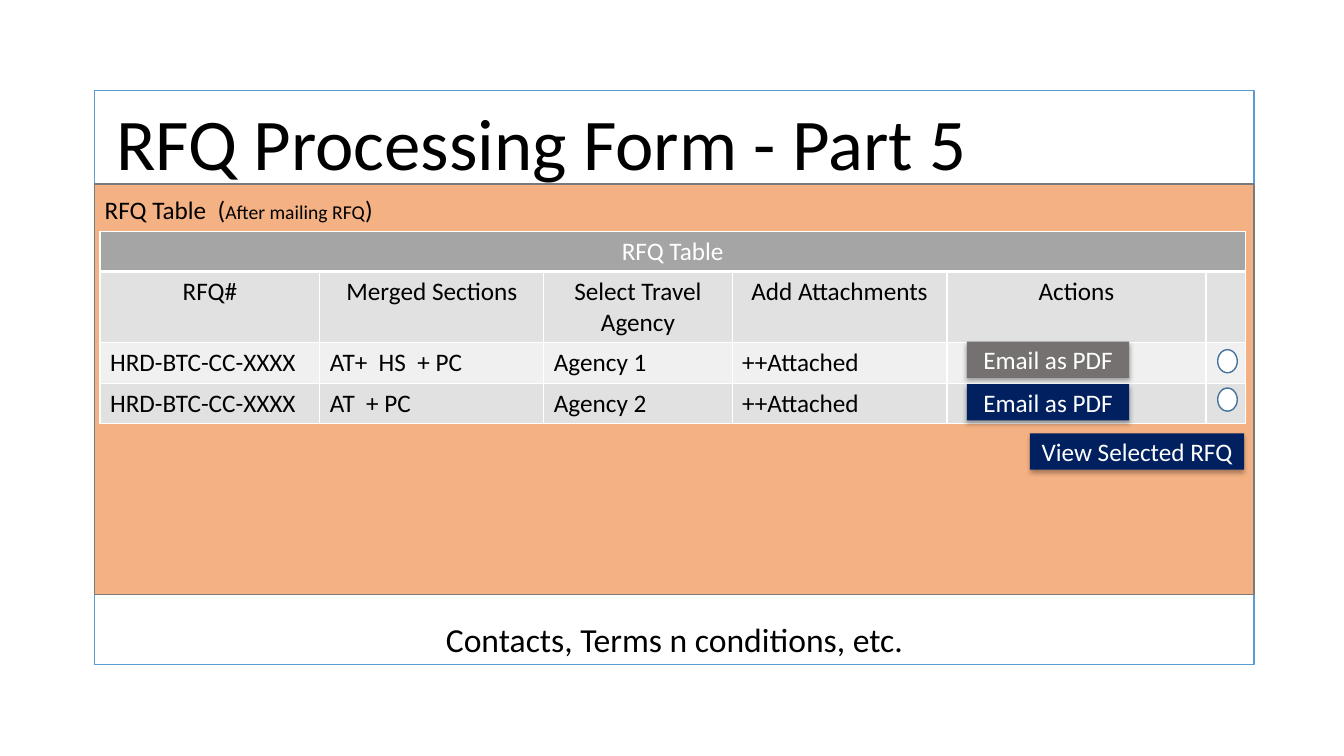
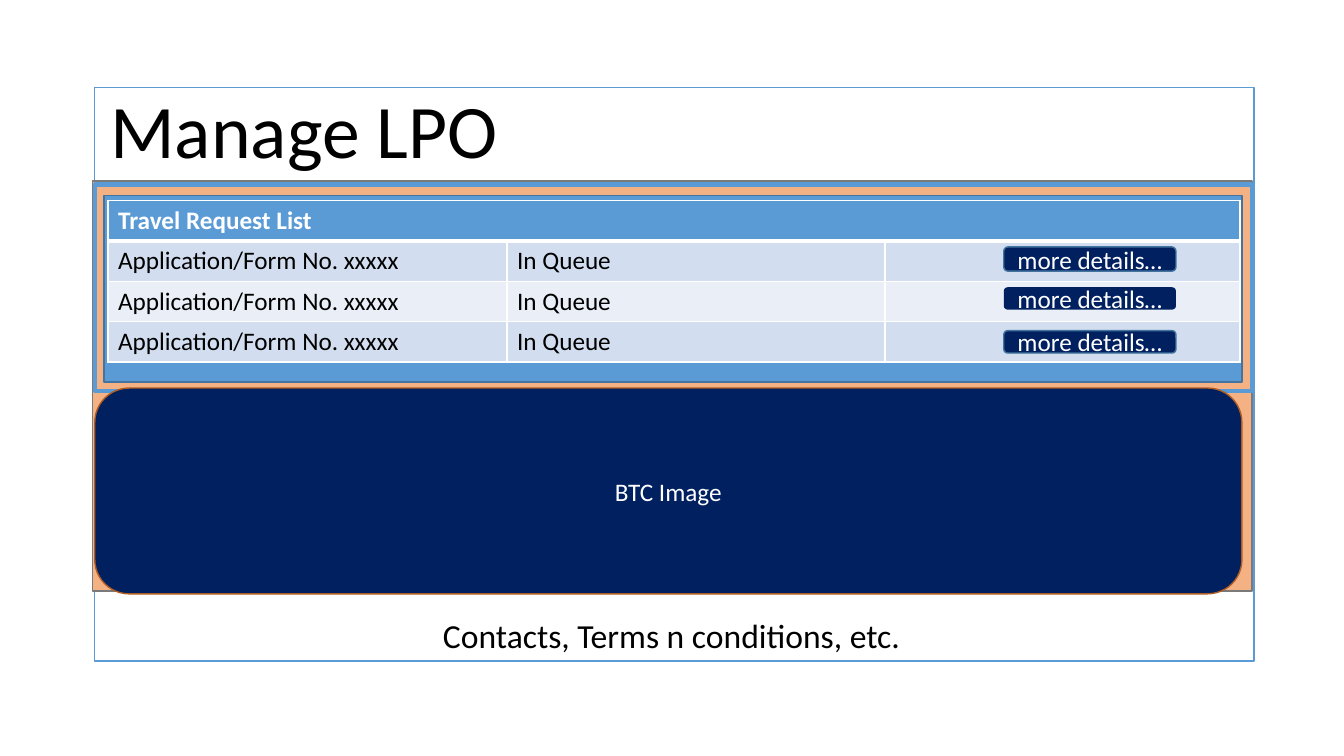
from lxml import etree
from pptx import Presentation
from pptx.dml.color import RGBColor
from pptx.enum.shapes import MSO_SHAPE
from pptx.enum.text import MSO_ANCHOR, PP_ALIGN
from pptx.oxml import parse_xml
from pptx.oxml.ns import nsdecls, qn
from pptx.util import Pt

RECT = MSO_SHAPE.RECTANGLE
ROUND = MSO_SHAPE.ROUNDED_RECTANGLE
DOT = MSO_SHAPE.FLOWCHART_CONNECTOR
LEFT, CENTER = PP_ALIGN.LEFT, PP_ALIGN.CENTER
TOP, MIDDLE = MSO_ANCHOR.TOP, MSO_ANCHOR.MIDDLE

WHITE = RGBColor(0xFF, 0xFF, 0xFF)
BLACK = RGBColor(0x00, 0x00, 0x00)
BLUE = RGBColor(0x5B, 0x9B, 0xD5)
EDGE = RGBColor(0x43, 0x73, 0x9E)
NAVY = RGBColor(0x00, 0x20, 0x60)
PEACH = RGBColor(0xF4, 0xB1, 0x83)
RUST = RGBColor(0xAF, 0x5C, 0x24)
GRAY = RGBColor(0x7A, 0x7A, 0x7A)
STONE = RGBColor(0x76, 0x71, 0x71)
SILVER = RGBColor(0xA5, 0xA5, 0xA5)
GRAY_BANDS = (RGBColor(0xE1, 0xE1, 0xE1), RGBColor(0xF0, 0xF0, 0xF0))
BLUE_BANDS = (RGBColor(0xD2, 0xDE, 0xEF), RGBColor(0xEA, 0xEF, 0xF7))

FONT = "Calibri"
SIZE = 18
WIDTH = 828
ROW = 28.2


def write(frame, runs, color=BLACK, align=LEFT, bold=False):
    para = frame.paragraphs[0]
    para.alignment = align
    for text, size in runs:
        run = para.add_run()
        run.text = text
        font = run.font
        font.name, font.size, font.bold = FONT, Pt(size), bold
        font.color.rgb = color


def label(slide, left, top, width, height, text, size, align=LEFT):
    box = slide.shapes.add_textbox(Pt(left), Pt(top), Pt(width), Pt(height))
    box.text_frame.word_wrap = True
    write(box.text_frame, [(text, size)], align=align)


def block(slide, kind, left, top, width, height, fill=None, line=None, weight=1):
    shape = slide.shapes.add_shape(kind, Pt(left), Pt(top), Pt(width), Pt(height))
    shape.shadow.inherit = False
    if fill is None:
        shape.fill.background()
    else:
        shape.fill.solid()
        shape.fill.fore_color.rgb = fill
    if line is None:
        shape.line.fill.background()
    else:
        shape.line.color.rgb = line
        shape.line.width = Pt(weight)
    return shape


def button(slide, kind, left, top, width, height, text, fill=NAVY, line=None):
    shape = block(slide, kind, left, top, width, height, fill, line)
    shape.text_frame.vertical_anchor = MIDDLE
    write(shape.text_frame, [(text, SIZE)], WHITE, CENTER)
    return shape


def shade(shape):
    effects = shape._element.spPr.find(qn("a:effectLst"))
    effects.append(parse_xml(
        f'<a:outerShdw {nsdecls("a")} blurRad="{Pt(3.5)}" dist="{Pt(2.2)}" '
        'dir="5400000" rotWithShape="0"><a:srgbClr val="000000">'
        '<a:alpha val="32000"/></a:srgbClr></a:outerShdw>'))


def border(cell, upper, lower):
    props = cell._tc.get_or_add_tcPr()
    for side, weight in (("L", 1), ("R", 1), ("T", upper), ("B", lower)):
        line = etree.SubElement(props, qn(f"a:ln{side}"), w=str(Pt(weight)))
        solid = etree.SubElement(line, qn("a:solidFill"))
        etree.SubElement(solid, qn("a:srgbClr"), val=str(WHITE))


def grid(slide, left, top, cols, heights, rows, head, bands, bold=False,
         centered=1):
    table = slide.shapes.add_table(
        len(rows), len(cols), Pt(left), Pt(top),
        Pt(sum(cols)), Pt(sum(heights))).table
    table.first_row = table.horz_banding = False
    for col, width in zip(table.columns, cols):
        col.width = Pt(width)
    for r, texts in enumerate(rows):
        table.rows[r].height = Pt(heights[r])
        for c in range(len(cols)):
            cell = table.cell(r, c)
            border(cell, 3 if r == 1 else 1, 3 if r == 0 else 1)
            cell.fill.solid()
            cell.fill.fore_color.rgb = bands[(r - 1) % 2] if r else head
            if c < len(texts):
                write(cell.text_frame, [(texts[c], SIZE)],
                      BLACK if r else WHITE,
                      CENTER if r < centered else LEFT, bold and r == 0)
    table.cell(0, 0).merge(table.cell(0, len(cols) - 1))


def form(slide, top, shift, title, size, rise):
    block(slide, RECT, 67.7, top, WIDTH, 409.7, WHITE, BLUE)
    body = block(slide, RECT, 67.7 + shift, top + 66.7, WIDTH, 293, PEACH, GRAY)
    label(slide, 76 + 3 * shift, top + rise, 800, 71, title, size)
    label(slide, 67 + 1.5 * shift, top + 373.4, WIDTH + 1.4, 36,
          "Contacts, Terms n conditions, etc.", 24, CENTER)
    return body


def quote(slide):
    body = form(slide, 64.8, 0, "RFQ Processing Form - Part 5", 52, 1.4)
    body.text_frame.vertical_anchor = TOP
    body.text_frame.margin_top = Pt(7)
    write(body.text_frame,
          [("RFQ Table  (", SIZE), ("After mailing RFQ", 14), (")", SIZE)])
    grid(slide, 71.5, 165.2, (157, 160, 134.5, 153.5, 185, 28),
         (ROW, 50.8, ROW, ROW),
         (("RFQ Table",),
          ("RFQ#", "Merged Sections", "Select Travel Agency",
           "Add Attachments", "Actions"),
          ("HRD-BTC-CC-XXXX", "AT+  HS  + PC", "Agency 1", "++Attached"),
          ("HRD-BTC-CC-XXXX", "AT  + PC", "Agency 2", "++Attached")),
         SILVER, GRAY_BANDS, centered=2)
    shade(button(slide, RECT, 735.7, 309.5, 153, 26, "View Selected RFQ"))
    for top, fill in ((244, STONE), (274.3, NAVY)):
        shade(button(slide, RECT, 690.6, top, 116, 26, "Email as PDF", fill))
    for top in (249.8, 277.2):
        block(slide, DOT, 869.8, top, 14, 16.5, WHITE, EDGE)


def orders(slide):
    form(slide, 62.5, -1.4, "Manage LPO", 54, -6.5)
    block(slide, RECT, 74.2, 139.7, 813, 133.2, BLUE, EDGE)
    block(slide, RECT, 67.7, 131.8, 826.5, 147.6, line=BLUE, weight=3)
    entry = ("Application/Form No. xxxxx", "In Queue")
    grid(slide, 77.2, 143.2, (285, 270, 253.5), (ROW,) * 4,
         (("Travel Request List",),) + (entry,) * 3,
         BLUE, BLUE_BANDS, bold=True, centered=0)
    for top, height, line in ((176.4, 17.3, EDGE), (205.2, 16, None),
                              (236.2, 16, EDGE)):
        button(slide, ROUND, 717, top, 123, height, "more details…", line=line)
    button(slide, ROUND, 67.7, 277.2, 819.4, 147, "BTC Image", line=RUST)


def main():
    prs = Presentation()
    prs.slide_width, prs.slide_height = Pt(960), Pt(540)
    for draw in (quote, orders):
        draw(prs.slides.add_slide(prs.slide_layouts[6]))
    prs.save("out.pptx")


if __name__ == "__main__":
    main()
